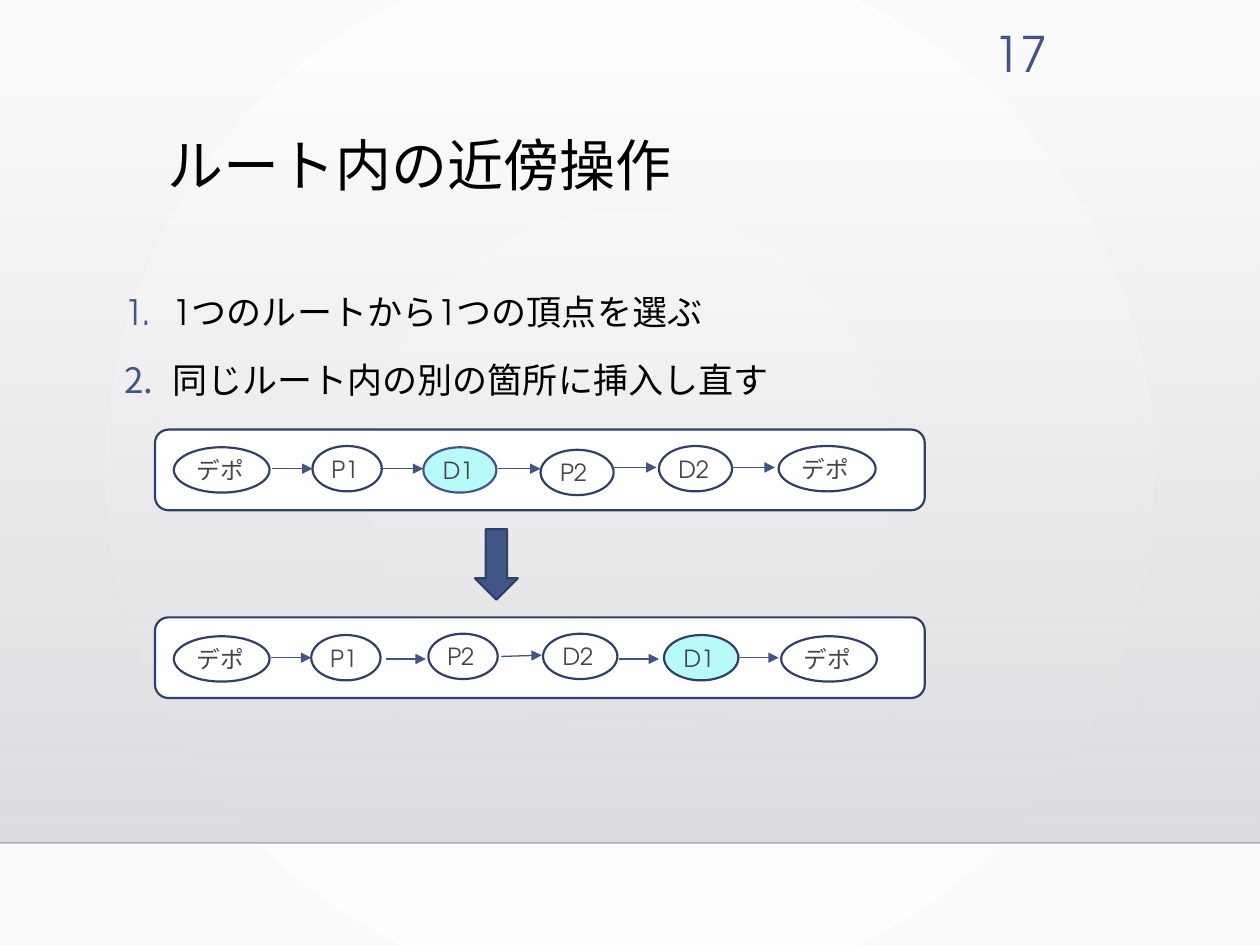
from lxml import etree
from pptx import Presentation
from pptx import util as u
from pptx.dml.color import RGBColor
from pptx.enum import shapes, text
from pptx.oxml.ns import qn

Inches, Pt = u.Inches, u.Pt
FONT = "TeX Gyre Adventor"
WHITE = RGBColor(0xFF, 0xFF, 0xFF)
PALE = RGBColor(0xFA, 0xFA, 0xFA)
MIST = RGBColor(0xDC, 0xDC, 0xE0)
GREY = RGBColor(0xDE, 0xDE, 0xE2)
BLACK = RGBColor(0, 0, 0)
LABEL = RGBColor(0x45, 0x45, 0x45)
BLUE = RGBColor(0x41, 0x55, 0x88)
NAVY = RGBColor(0x30, 0x3F, 0x65)
CYAN = RGBColor(0xB8, 0xFA, 0xFA)

deck = Presentation()
deck.slide_width, deck.slide_height = Inches(10), Inches(7.5)
page = deck.slides.add_slide(deck.slide_layouts[6])


def add_box(kind, area, fill=None, line=None):
    """Add a preset shape, or a text box when kind is None."""
    area = [Inches(value) for value in area]
    if kind is None:
        box = page.shapes.add_textbox(*area)
        box.text_frame.word_wrap = True
        return box
    box = page.shapes.add_shape(kind, *area)
    box.shadow.inherit = False
    if fill is not None:
        box.fill.solid()
        box.fill.fore_color.rgb = fill
    if line is None:
        box.line.fill.background()
    else:
        box.line.color.rgb = line
        box.line.width = Pt(1.25)
    return box


def write(para, words, size, color, **format_values):
    span = para.add_run()
    span.text = words
    for name, value in {"name": FONT, "size": Pt(size)}.items():
        setattr(span.font, name, value)
    span.font.color.rgb = color
    for name, value in format_values.items():
        setattr(para, name, value)


# Background: radial glow, then a band fading to grey
glow = page.background.fill
glow.gradient()
band = add_box(shapes.MSO_SHAPE.RECTANGLE, (0, 0.51, 10, 6.18))
band.fill.gradient()
band.fill.gradient_angle = 270
for fill, colors in ((glow, (WHITE, PALE)), (band.fill, (MIST, GREY))):
    for stop, color, position in zip(fill.gradient_stops, colors, (0, 1)):
        stop.color.rgb = color
        stop.position = position
linear = next(page.background._cSld.iter(qn("a:lin")))
radial = etree.Element(qn("a:path"), {"path": "circle"})
etree.SubElement(radial, qn("a:fillToRect"), {side: "50000" for side in "ltrb"})
linear.getparent().replace(linear, radial)
clear = next(band._element.spPr.iter(qn("a:srgbClr")))
etree.SubElement(clear, qn("a:alpha"), val="0")

# Lines: the floor of the band, then arrows between the stops of each route
floor = [(0, 6.69, 10, 6.69)]
arrows = [
    (2.16, 3.72, 2.48, 3.72), (3.02, 3.72, 3.36, 3.72), (3.95, 3.72, 4.29, 3.72),
    (4.86, 3.71, 5.21, 3.71), (5.8, 3.71, 6.15, 3.71),
    (2.15, 5.22, 2.47, 5.22), (3.06, 5.23, 3.38, 5.23), (3.98, 5.21, 4.3, 5.2),
    (4.91, 5.23, 5.23, 5.23), (5.86, 5.22, 6.18, 5.22),
]

# Title and page number
title = add_box(None, (1.23, 1.05, 7.19, 1.15))
write(title.text_frame.paragraphs[0], "ルート内の近傍操作", 32, BLACK, line_spacing=0.9)
number = add_box(None, (7.54, 0.14, 0.87, 0.55))
write(number.text_frame.paragraphs[0], "17", 28, BLUE, alignment=text.PP_ALIGN.RIGHT)

# Numbered steps
steps = add_box(None, (0.89, 2.19, 7.88, 2.7)).text_frame
for index, words in enumerate(("1つのルートから1つの頂点を選ぶ", "同じルート内の別の箇所に挿入し直す")):
    para = steps.add_paragraph() if index else steps.paragraphs[0]
    write(para, words, 20, BLACK, line_spacing=1.2, space_before=Pt(10))
    props = para._p.get_or_add_pPr()
    props.set("marL", str(Inches(0.38)))
    props.set("indent", str(-Inches(0.38)))
    bullet_color = etree.SubElement(props, qn("a:buClr"))
    etree.SubElement(bullet_color, qn("a:srgbClr"), val=str(BLUE))
    etree.SubElement(props, qn("a:buFont"), typeface=FONT)
    etree.SubElement(props, qn("a:buAutoNum"), type="arabicPeriod")

# Routes before and after the move: label, left, top, width
routes = [
    (3.41, BLUE, [("デポ", 1.38, 3.55, 0.76), ("P1", 2.48, 3.54, 0.55),
                  ("D1", 3.36, 3.55, 0.58), ("P2", 4.29, 3.57, 0.58),
                  ("D2", 5.23, 3.54, 0.58), ("デポ", 6.18, 3.54, 0.77)]),
    (4.9, NAVY, [("デポ", 1.38, 5.05, 0.76), ("P1", 2.47, 5.04, 0.55),
                 ("P2", 3.4, 5.03, 0.55), ("D2", 4.31, 5.03, 0.59),
                 ("D1", 5.27, 5.04, 0.59), ("デポ", 6.2, 5.05, 0.76)]),
]
margins = {"margin_left": 0.07, "margin_top": 0.04, "margin_right": 0.07, "margin_bottom": 0.04}
for frame_top, moved_line, stops in routes:
    add_box(shapes.MSO_SHAPE.ROUNDED_RECTANGLE, (1.23, frame_top, 6.11, 0.64), WHITE, NAVY)
    for label, left, top, width in stops:
        moved = label == "D1"
        stop = add_box(shapes.MSO_SHAPE.OVAL, (left, top, width, 0.36),
                       CYAN if moved else WHITE, moved_line if moved else NAVY)
        frame = stop.text_frame
        frame.vertical_anchor = text.MSO_ANCHOR.MIDDLE
        for name, value in margins.items():
            setattr(frame, name, Inches(value))
        write(frame.paragraphs[0], label, 13.5, LABEL, alignment=text.PP_ALIGN.LEFT)

# Step from the first route to the second
add_box(shapes.MSO_SHAPE.DOWN_ARROW, (3.77, 4.2, 0.34, 0.56), BLUE, NAVY)

# Draw the lines
for ends in floor + arrows:
    line = page.shapes.add_connector(
        shapes.MSO_CONNECTOR.STRAIGHT, *[Inches(value) for value in ends])
    is_arrow = ends in arrows
    line.line.color.rgb = BLUE if is_arrow else BLACK
    line.line.width = Pt(0.75 if is_arrow else 1)
    outline = line.line._get_or_add_ln()
    if is_arrow:
        etree.SubElement(outline, qn("a:tailEnd"), type="triangle")
    else:
        etree.SubElement(next(outline.iter(qn("a:srgbClr"))), qn("a:alpha"), val="20000")
    etree.SubElement(line._element.spPr, qn("a:effectLst"))

deck.save("out.pptx")
